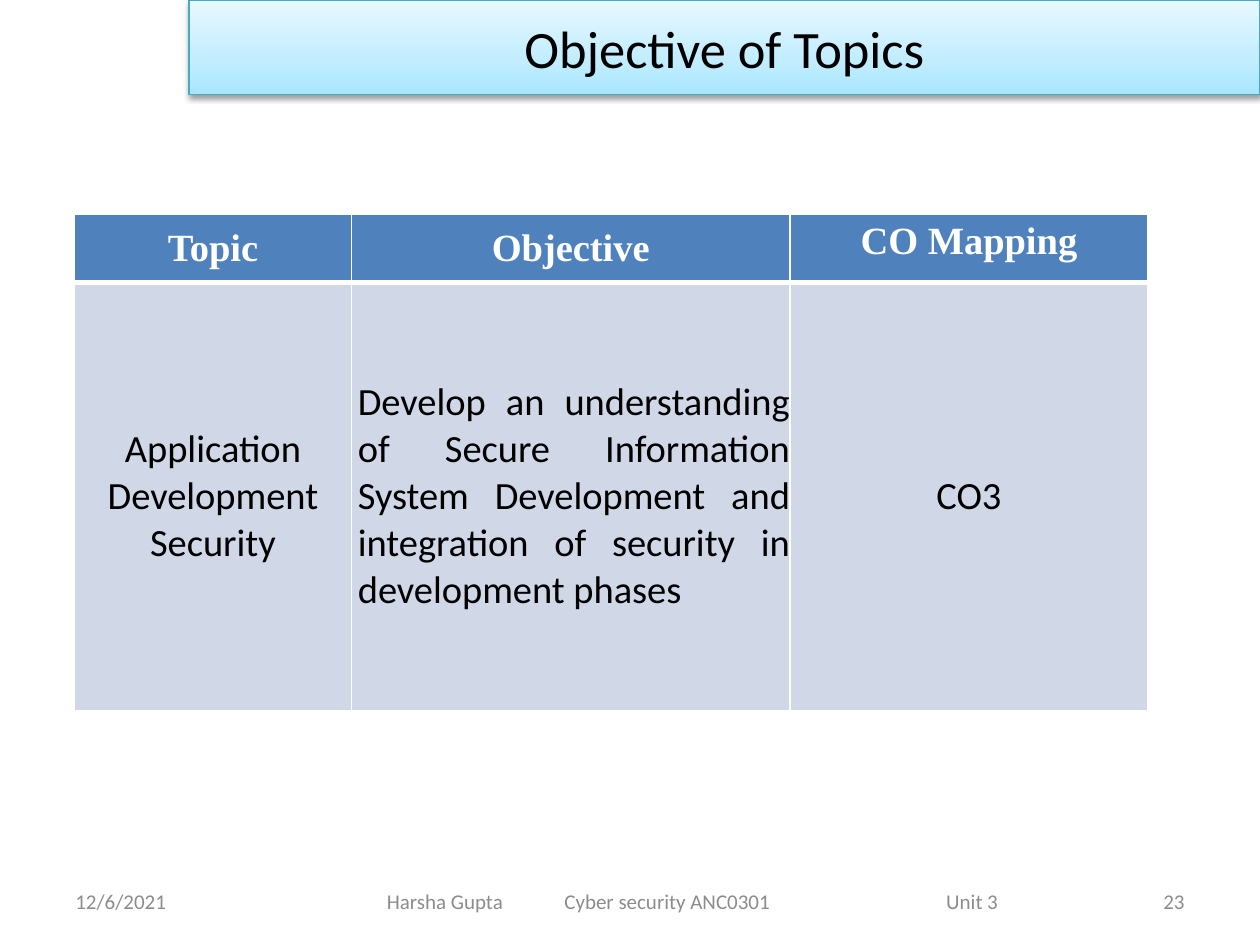
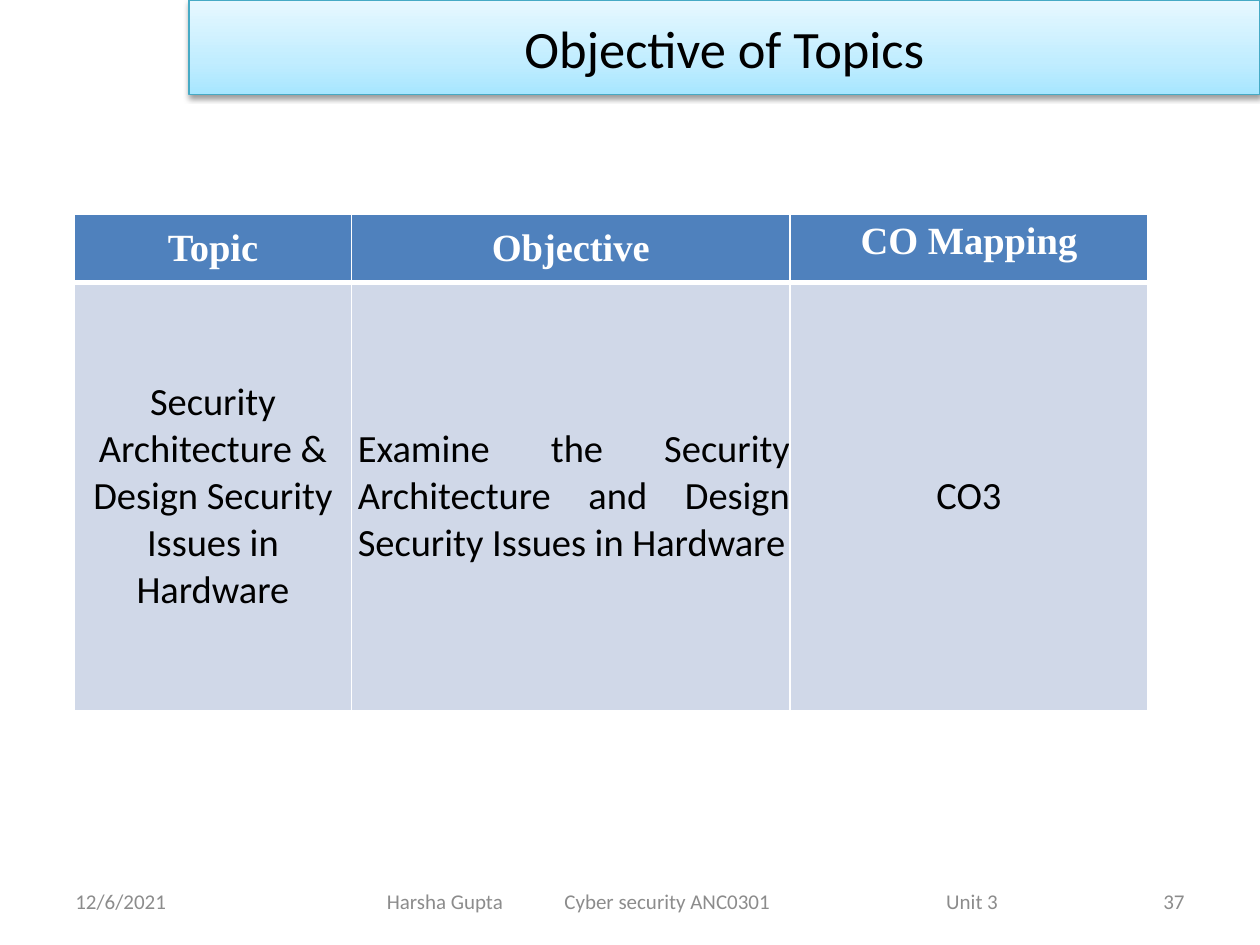
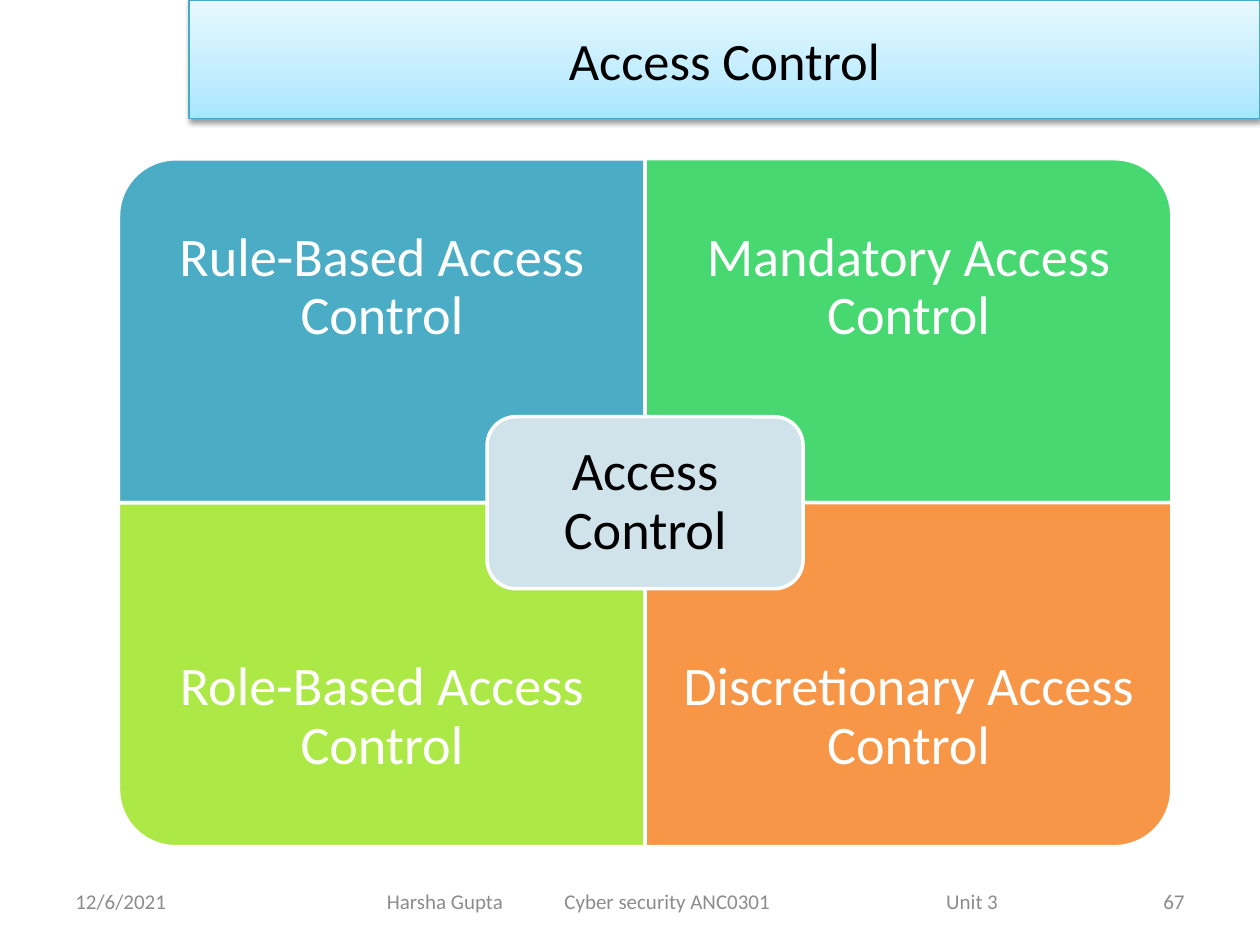
from pptx import Presentation
from pptx.dml.color import RGBColor
from pptx.enum.shapes import MSO_SHAPE
from pptx.enum.text import MSO_ANCHOR, MSO_AUTO_SIZE, PP_ALIGN
from pptx.oxml import parse_xml
from pptx.oxml.ns import nsdecls
from pptx.util import Inches, Pt

CELL = Inches(0.1)  # the slide is a grid of 100 columns by 75 rows
COLS, ROWS = 100, 75
SANS, SERIF = "Calibri", "Times New Roman"
HUES = {
    "ink": "000000", "white": "FFFFFF", "grey": "8C8C8C",
    "edge": "46AAC5", "deep": "A7E6FF", "mid": "C1EDFF", "pale": "E7F8FF",
    "head": "4F81BD", "body": "D0D8E8",
    "teal": "4BACC6", "green": "47D872", "lime": "ACE946",
    "orange": "F79646", "hub": "D0E3EA",
}
FOOT_TOP, FOOT_HIGH = 69.5, 4
HEADS = ["Topic", "Objective", "CO Mapping"]
WIDTHS = [22, 34.8, 28.4]
HEIGHTS = [5.4, 34]


def cells(*counts):
    return [round(count * CELL) for count in counts]


def hue(name):
    return RGBColor.from_string(HUES[name])


def style(frame, size, color, font=SANS, bold=False, align=PP_ALIGN.LEFT):
    for par in frame.paragraphs:
        par.alignment = align
        for run in par.runs:
            run.font.name, run.font.size, run.font.bold = font, Pt(size), bold
            run.font.color.rgb = hue(color)


def inset(item, left, top, right, bottom):
    """Set the margins of a text frame or a table cell, in grid cells."""
    (item.margin_left, item.margin_top,
     item.margin_right, item.margin_bottom) = cells(left, top, right, bottom)


def label(slide, text, spot, size, color, align=PP_ALIGN.LEFT):
    frame = slide.shapes.add_textbox(*cells(*spot)).text_frame
    frame.word_wrap = True
    frame.vertical_anchor = MSO_ANCHOR.MIDDLE
    frame.text = text
    style(frame, size, color, align=align)
    return frame


def banner(slide, text, high):
    """Turn the title placeholder into the shaded band at the top."""
    title = slide.shapes.title
    title.left, title.top, title.width, title.height = cells(15, 0, 85, high)
    stops = "".join(
        f'<a:gs pos="{pos * 1000}"><a:srgbClr val="{HUES[name]}"/></a:gs>'
        for pos, name in ((0, "deep"), (35, "mid"), (100, "pale")))
    props = title.element.spPr
    props.append(parse_xml(
        f'<a:gradFill {nsdecls("a")} rotWithShape="1"><a:gsLst>{stops}</a:gsLst>'
        '<a:lin ang="16200000" scaled="0"/></a:gradFill>'))
    title.line.color.rgb = hue("edge")
    title.line.width = Pt(0.75)
    props.append(parse_xml(
        f'<a:effectLst {nsdecls("a")}>'
        '<a:outerShdw blurRad="40000" dist="20000" dir="5400000" rotWithShape="0">'
        f'<a:srgbClr val="{HUES["ink"]}"><a:alpha val="38000"/></a:srgbClr>'
        '</a:outerShdw></a:effectLst>'))
    frame = title.text_frame
    frame.auto_size = MSO_AUTO_SIZE.NONE
    frame.vertical_anchor = MSO_ANCHOR.MIDDLE
    frame.text = text
    style(frame, 30, "ink", align=PP_ALIGN.CENTER)


def footer(slide, page):
    side = 23.3
    label(slide, "12/6/2021", (5, FOOT_TOP, side, FOOT_HIGH), 12, "grey")
    label(slide, page, (COLS - 5 - side, FOOT_TOP, side, FOOT_HIGH),
          12, "grey", PP_ALIGN.RIGHT)
    frame = label(slide, "", (27.5, FOOT_TOP, 55, FOOT_HIGH), 12, "grey")
    inset(frame, 3.2, 0.5, 1, 0.5)
    par = frame.paragraphs[0]
    tabs = "".join(f'<a:tab pos="{pos}" algn="l"/>' for pos in cells(14.1, 44.4))
    par._p.get_or_add_pPr().append(
        parse_xml(f'<a:tabLst {nsdecls("a")}>{tabs}</a:tabLst>'))
    par.text = "Harsha Gupta\tCyber security ANC0301\tUnit 3"
    style(frame, 12, "grey")


def start(deck, title, page, high):
    slide = deck.slides.add_slide(deck.slide_layouts[5])
    banner(slide, title, high)
    footer(slide, page)
    return slide


def border(cell, base):
    """Rule a table cell in white, with its own width at the base."""
    for side, width in (("L", 1), ("R", 1), ("T", 1), ("B", base)):
        cell._tc.get_or_add_tcPr().append(parse_xml(
            f'<a:ln{side} {nsdecls("a")} w="{Pt(width)}"><a:solidFill>'
            f'<a:srgbClr val="{HUES["white"]}"/></a:solidFill></a:ln{side}>'))


def fill_cell(cell, text, row, col):
    head = row == 0
    border(cell, 3 if head else 1)
    cell.fill.solid()
    cell.fill.fore_color.rgb = hue("head" if head else "body")
    cell.text = text
    last = col == len(HEADS) - 1
    cell.vertical_anchor = MSO_ANCHOR.TOP if head and last else MSO_ANCHOR.MIDDLE
    aim = not head and col == 1
    if not last:
        inset(cell, 0.5 if aim else 0, 0, 0, 0)
    style(cell.text_frame, 22, "white" if head else "ink",
          SERIF if head else SANS, head,
          PP_ALIGN.JUSTIFY if aim else PP_ALIGN.CENTER)


def goals(deck, page, entry):
    """Add a slide that maps one topic to its objective and outcome."""
    slide = start(deck, "Objective of Topics", page, 7.5)
    spot = cells(5.9, 17, sum(WIDTHS), sum(HEIGHTS))
    table = slide.shapes.add_table(2, len(HEADS), *spot).table
    table.horz_banding = False
    for col, width in zip(table.columns, cells(*WIDTHS)):
        col.width = width
    for row, high in zip(table.rows, cells(*HEIGHTS)):
        row.height = high
    for r, texts in enumerate((HEADS, entry)):
        for c, text in enumerate(texts):
            fill_cell(table.cell(r, c), text, r, c)


def block(slide, kind, spot, color, turn=0):
    shape = slide.shapes.add_shape(kind, *cells(*spot))
    shape.rotation = turn
    shape.shadow.inherit = False
    shape.fill.solid()
    shape.fill.fore_color.rgb = hue(color)
    shape.line.color.rgb = hue("white")
    shape.line.width = Pt(2)


def caption(slide, text, spot, color, gap):
    frame = label(slide, text, spot, 31, color, PP_ALIGN.CENTER)
    inset(frame, gap, gap, gap, gap)
    frame.paragraphs[0].line_spacing = 0.9


def matrix(slide, panels, hub):
    """Draw four panels around a mid point, with a hub on top."""
    mid_x, mid_y, wide, high = 51.2, 39.9, 41.8, 27.3
    deep = high * 0.75
    for i, (text, color, turn) in enumerate(panels):
        row, col = divmod(i, 2)
        left, top = mid_x - wide * (1 - col), mid_y - high * (1 - row)
        w, h = (high, wide) if turn % 180 else (wide, high)
        spot = left + (wide - w) / 2, top + (high - h) / 2, w, h
        block(slide, MSO_SHAPE.ROUND_1_RECTANGLE, spot, color, turn)
        caption(slide, text, (left, top + row * (high - deep), wide, deep),
                "white", 2.4)
    w, h = wide * 0.6, high / 2
    left, top, pad = mid_x - w / 2, mid_y - h / 2, 0.7
    block(slide, MSO_SHAPE.ROUNDED_RECTANGLE, (left, top, w, h), "hub")
    caption(slide, hub, (left + pad, top + pad, w - 2 * pad, h - 2 * pad),
            "ink", 1.3)


def main():
    deck = Presentation()
    deck.slide_width, deck.slide_height = cells(COLS, ROWS)
    goals(deck, "23", [
        "Application Development Security",
        "Develop an understanding of Secure Information System Development "
        "and integration of security in development phases",
        "CO3"])
    goals(deck, "37", [
        "Security Architecture & Design Security Issues in Hardware",
        "Examine the Security Architecture and Design Security Issues in Hardware",
        "CO3"])
    matrix(start(deck, "Access Control", "67", 9.4), [
        ("Rule-Based Access Control", "teal", 270),
        ("Mandatory Access Control", "green", 0),
        ("Role-Based Access Control", "lime", 180),
        ("Discretionary Access Control", "orange", 90)], "Access Control")
    deck.save("out.pptx")


if __name__ == "__main__":
    main()
